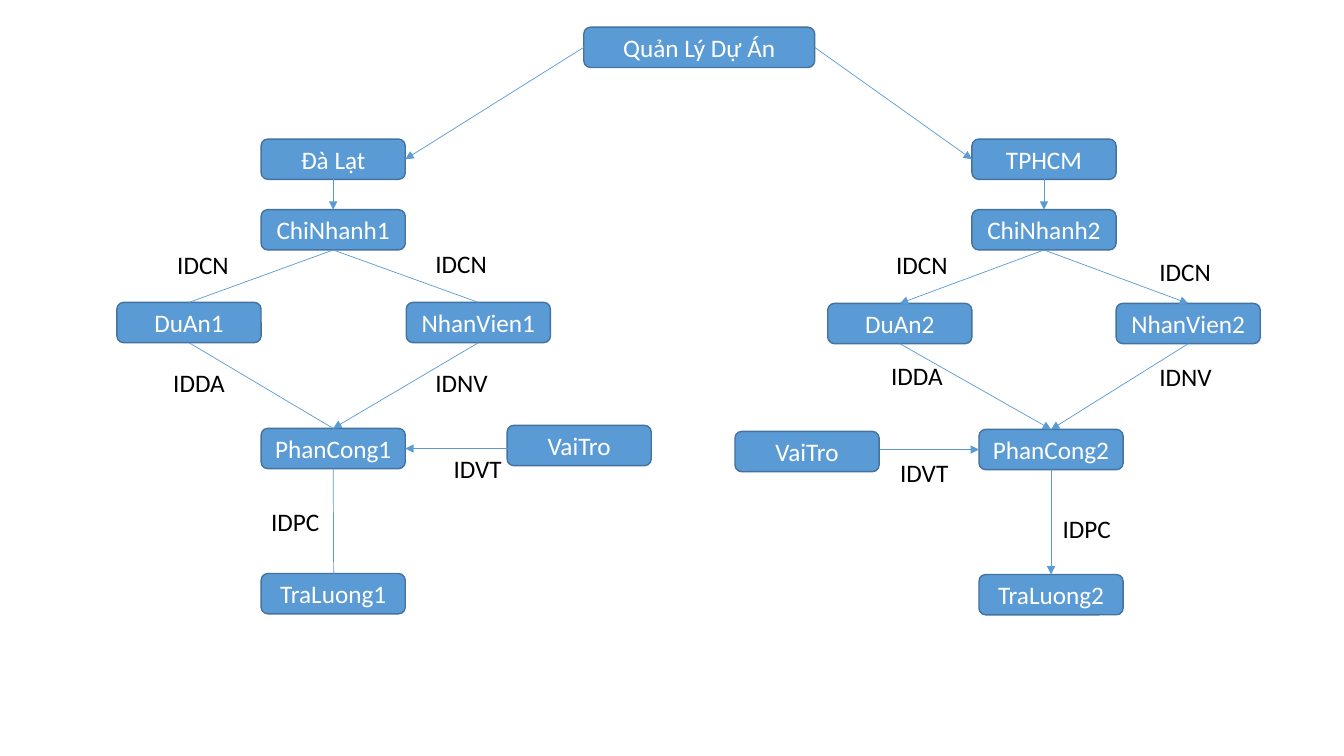
from pptx import Presentation
from pptx.util import Inches, Pt
from pptx.dml.color import RGBColor
from pptx.enum.shapes import MSO_SHAPE as Shape, MSO_CONNECTOR as Conn
from pptx.enum.text import PP_ALIGN as Align, MSO_ANCHOR as Anchor, MSO_AUTO_SIZE as Fit
from pptx.oxml.ns import qn
from lxml import etree

COLORS = {"fill": "5B9BD5", "edge": "43739E", "light": "FFFFFF", "dark": "000000"}
BOX_W, ROOT_W, BOX_H, TAG_W = 1.43, 2.29, 0.4, 0.97
TOP, LEFT, BOTTOM, RIGHT = range(4)

# Boxes: key -> text, left, top
BOXES = {
    "root": ("Quản Lý Dự Án", 5.79, 0.27),
    "city1": ("Đà Lạt", 2.59, 1.38),
    "branch1": ("ChiNhanh1", 2.59, 2.08),
    "project1": ("DuAn1", 1.16, 3),
    "staff1": ("NhanVien1", 4.03, 3),
    "task1": ("PhanCong1", 2.59, 4.25),
    "role1": ("VaiTro", 5.03, 4.22),
    "pay1": ("TraLuong1", 2.59, 5.69),
    "city2": ("TPHCM", 9.64, 1.38),
    "branch2": ("ChiNhanh2", 9.64, 2.08),
    "project2": ("DuAn2", 8.21, 3.01),
    "staff2": ("NhanVien2", 11.07, 3.01),
    "task2": ("PhanCong2", 9.71, 4.26),
    "role2": ("VaiTro", 7.29, 4.28),
    "pay2": ("TraLuong2", 9.71, 5.7),
}

# Links: start, end, arrowhead; an end is (key, side) or a loose point (x, y)
LINKS = [
    (("root", LEFT), ("city1", RIGHT), True),
    (("root", RIGHT), ("city2", LEFT), True),
    (("city1", BOTTOM), ("branch1", TOP), True),
    (("city2", BOTTOM), ("branch2", TOP), True),
    (("branch1", BOTTOM), ("project1", TOP), False),
    (("branch1", BOTTOM), ("staff1", TOP), False),
    (("branch2", BOTTOM), ("project2", TOP), True),
    (("branch2", BOTTOM), ("staff2", TOP), True),
    (("project1", BOTTOM), ("task1", TOP), False),
    (("staff1", BOTTOM), ("task1", TOP), True),
    (("project2", BOTTOM), ("task2", TOP), True),
    (("staff2", BOTTOM), ("task2", TOP), True),
    ((5.07, 4.45), ("task1", RIGHT), True),
    ((8.73, 4.46), ("task2", LEFT), True),
    (("task1", BOTTOM), (3.31, 5.81), True),
    (("task2", BOTTOM), ("pay2", TOP), True),
]

# Key names beside the links: text, left, top
TAGS = [
    ("IDCN", 1.66, 2.42), ("IDCN", 4.22, 2.41),
    ("IDCN", 8.79, 2.42), ("IDCN", 11.4, 2.49),
    ("IDDA", 1.62, 3.59), ("IDNV", 4.22, 3.59),
    ("IDDA", 8.74, 3.53), ("IDNV", 11.4, 3.54),
    ("IDPC", 2.59, 4.97), ("IDPC", 10.44, 5.04),
    ("IDVT", 8.83, 4.49), ("IDVT", 4.4, 4.45),
]


def color(name):
    return RGBColor.from_string(COLORS[name])


def write(shape, text, size=18, font="Calibri", ink="dark",
          align=Align.LEFT, anchor=Anchor.TOP, fit=Fit.NONE):
    frame = shape.text_frame
    frame.word_wrap = True
    frame.auto_size = fit
    frame.vertical_anchor = anchor
    para = frame.paragraphs[0]
    para.alignment = align
    run = para.add_run()
    run.text = text
    run.font.size = Pt(size)
    run.font.name = font
    run.font.color.rgb = color(ink)


def add_box(slide, text, x, y, width):
    box = slide.shapes.add_shape(Shape.ROUNDED_RECTANGLE, Inches(x), Inches(y),
                                 Inches(width), Inches(BOX_H))
    box.shadow.inherit = False
    box.fill.solid()
    box.fill.fore_color.rgb = color("fill")
    box.line.color.rgb = color("edge")
    box.line.width = Pt(1)
    write(box, text, ink="light", align=Align.CENTER, anchor=Anchor.MIDDLE)
    return box


def add_link(slide, boxes, start, end, arrow):
    points = [(0, 0) if p[0] in boxes else p for p in (start, end)]
    link = slide.shapes.add_connector(
        Conn.STRAIGHT, *(Inches(v) for point in points for v in point))
    for spot, join in ((start, link.begin_connect), (end, link.end_connect)):
        if spot[0] in boxes:
            join(boxes[spot[0]], spot[1])
    link.line.color.rgb = color("fill")
    link.line.width = Pt(0.5)
    props = link._element.spPr
    if arrow:
        etree.SubElement(props.find(qn("a:ln")), qn("a:tailEnd"), type="triangle")
    etree.SubElement(props, qn("a:effectLst"))


def main():
    deck = Presentation()
    deck.slide_width, deck.slide_height = Inches(13.33), Inches(7.5)
    slide = deck.slides.add_slide(deck.slide_layouts[6])

    # Boxes, then the links that join them
    boxes = {key: add_box(slide, *spot, ROOT_W if key == "root" else BOX_W)
             for key, spot in BOXES.items()}
    for link in LINKS:
        add_link(slide, boxes, *link)

    # Key names
    for text, x, y in TAGS:
        tag = slide.shapes.add_textbox(Inches(x), Inches(y), Inches(TAG_W), Inches(BOX_H))
        write(tag, text, fit=Fit.SHAPE_TO_FIT_TEXT)

    deck.save("out.pptx")


if __name__ == "__main__":
    main()
